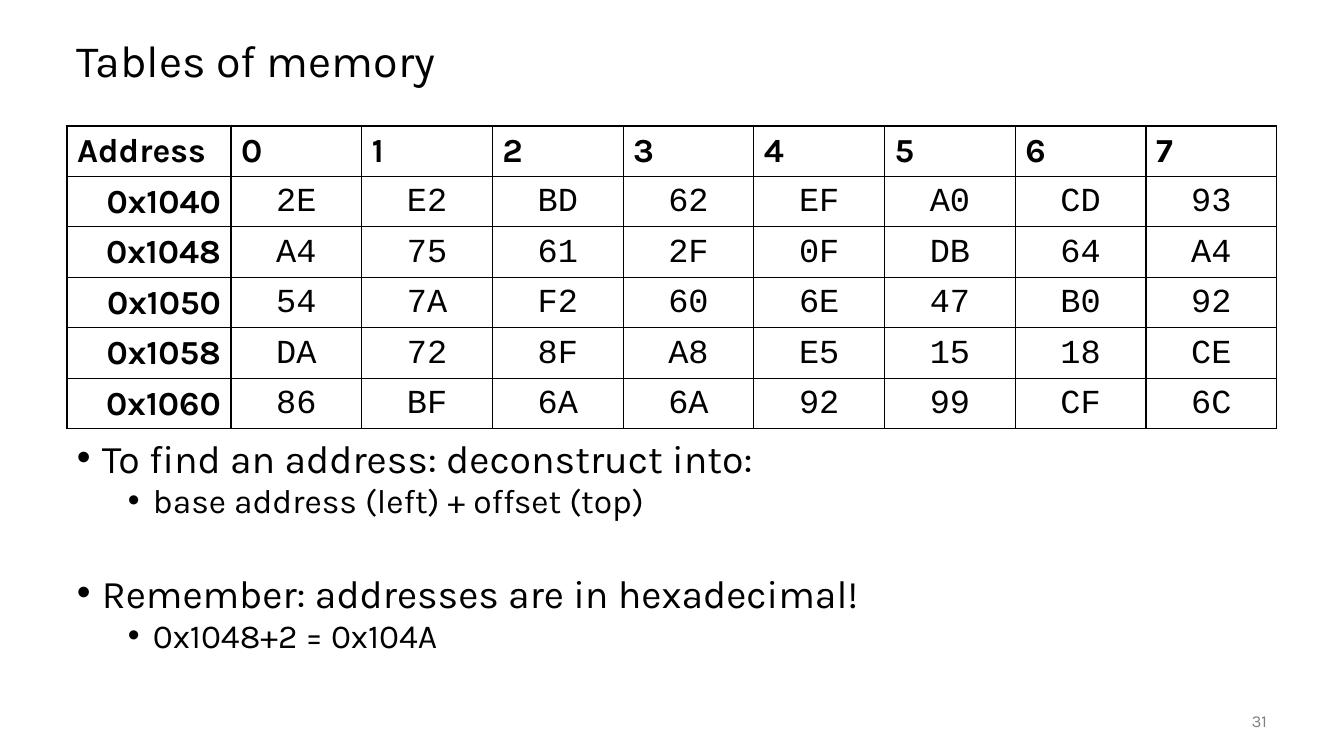
from lxml import etree
from pptx import Presentation
from pptx.dml.color import RGBColor
from pptx.enum.text import MSO_ANCHOR, PP_ALIGN
from pptx.oxml.ns import qn
from pptx.util import Emu, Pt

LEFT, CENTER, RIGHT = PP_ALIGN.LEFT, PP_ALIGN.CENTER, PP_ALIGN.RIGHT
TOP, MIDDLE, BOTTOM = MSO_ANCHOR.TOP, MSO_ANCHOR.MIDDLE, MSO_ANCHOR.BOTTOM

# Content
TITLE = "Tables of memory"
PAGE_NUMBER = "31"
HEADER = ["Address", "0", "1", "2", "3", "4", "5", "6", "7"]
MEMORY = {
    "0x1040": "2E E2 BD 62 EF A0 CD 93",
    "0x1048": "A4 75 61 2F 0F DB 64 A4",
    "0x1050": "54 7A F2 60 6E 47 B0 92",
    "0x1058": "DA 72 8F A8 E5 15 18 CE",
    "0x1060": "86 BF 6A 6A 92 99 CF 6C",
}
# Text, level, space before in points
BULLETS = [
    ("To find an address: deconstruct into:", 0, 0),
    ("base address (left) + offset (top)", 1, 5),
    ("Remember: addresses are in hexadecimal!", 0, 41.5),
    ("0x1048+2 = 0x104A", 1, 5),
]
BULLET_SIZES = [28, 24]
BULLET_INDENTS = [25, 76]
BULLET_HANGING = 25

# Style and layout, lengths in px
SANS, MONO = "Karla", "Courier New"
BLACK, WHITE, GRAY = "000000", "FFFFFF", "808080"
PIXELS_PER_INCH = 100.8
SIDE, CONTENT_WIDTH = 67, 1210
TABLE_TOP, ROW_HEIGHT = 126, 49
ADDRESS_WIDTH = 164
BYTE_WIDTH = (CONTENT_WIDTH - ADDRESS_WIDTH) / (len(HEADER) - 1)


def px(length):
    return Emu(round(length * 914400 / PIXELS_PER_INCH))


def color(value):
    return RGBColor.from_string(value)


def write(paragraph, text, size, align=LEFT, font=SANS, bold=False, fill=BLACK):
    paragraph.text = text
    paragraph.alignment = align
    paragraph.font.size = Pt(size)
    paragraph.font.name = font
    paragraph.font.bold = bold
    paragraph.font.color.rgb = color(fill)


def add_text_frame(slide, left, top, width, height, anchor):
    box = slide.shapes.add_textbox(px(left), px(top), px(width), px(height))
    box.text_frame.word_wrap = True
    box.text_frame.vertical_anchor = anchor
    return box.text_frame


def add_bullet(paragraph, level):
    properties = paragraph._p.get_or_add_pPr()
    properties.set("marL", str(px(BULLET_INDENTS[level])))
    properties.set("indent", str(-px(BULLET_HANGING)))
    etree.SubElement(properties, qn("a:buFont"), typeface="Arial")
    etree.SubElement(properties, qn("a:buChar"), char="•")


def outline(cell):
    properties = cell._tc.get_or_add_tcPr()
    for index, side in enumerate(("a:lnL", "a:lnR", "a:lnT", "a:lnB")):
        line = etree.Element(qn(side), w=str(Pt(1)))
        fill = etree.SubElement(line, qn("a:solidFill"))
        etree.SubElement(fill, qn("a:srgbClr"), val=BLACK)
        properties.insert(index, line)


def add_memory_table(slide):
    rows = [HEADER] + [[address, *data.split()] for address, data in MEMORY.items()]
    table = slide.shapes.add_table(
        len(rows), len(HEADER), px(SIDE), px(TABLE_TOP),
        px(CONTENT_WIDTH), px(ROW_HEIGHT * len(rows))).table
    table.first_row = False
    table.horz_banding = False
    for index, column in enumerate(table.columns):
        column.width = px(BYTE_WIDTH if index else ADDRESS_WIDTH)
    for row_index, row in enumerate(rows):
        for column_index, text in enumerate(row):
            cell = table.cell(row_index, column_index)
            cell.vertical_anchor = BOTTOM
            cell.fill.solid()
            cell.fill.fore_color.rgb = color(WHITE)
            outline(cell)
            is_byte = row_index > 0 and column_index > 0
            align = LEFT if row_index == 0 else CENTER if is_byte else RIGHT
            write(cell.text_frame.paragraphs[0], text, 24, align,
                  MONO if is_byte else SANS, not is_byte)


def main():
    presentation = Presentation()
    presentation.slide_width = px(1344)
    presentation.slide_height = px(756)
    slide = presentation.slides.add_slide(presentation.slide_layouts[6])

    # Title
    title = add_text_frame(slide, SIDE, 25, CONTENT_WIDTH, 76, MIDDLE).paragraphs[0]
    title.line_spacing = 0.9
    write(title, TITLE, 32)

    add_memory_table(slide)

    # Bullets
    body = add_text_frame(slide, SIDE, 438, CONTENT_WIDTH, 242, TOP)
    for index, (text, level, space_before) in enumerate(BULLETS):
        paragraph = body.add_paragraph() if index else body.paragraphs[0]
        paragraph.level = level
        paragraph.line_spacing = 0.8
        paragraph.space_before = Pt(space_before)
        add_bullet(paragraph, level)
        write(paragraph, text, BULLET_SIZES[level])

    # Page number
    number = add_text_frame(slide, 1176, 701, 101, 40, MIDDLE).paragraphs[0]
    write(number, PAGE_NUMBER, 12, RIGHT, fill=GRAY)

    presentation.save("out.pptx")


if __name__ == "__main__":
    main()
